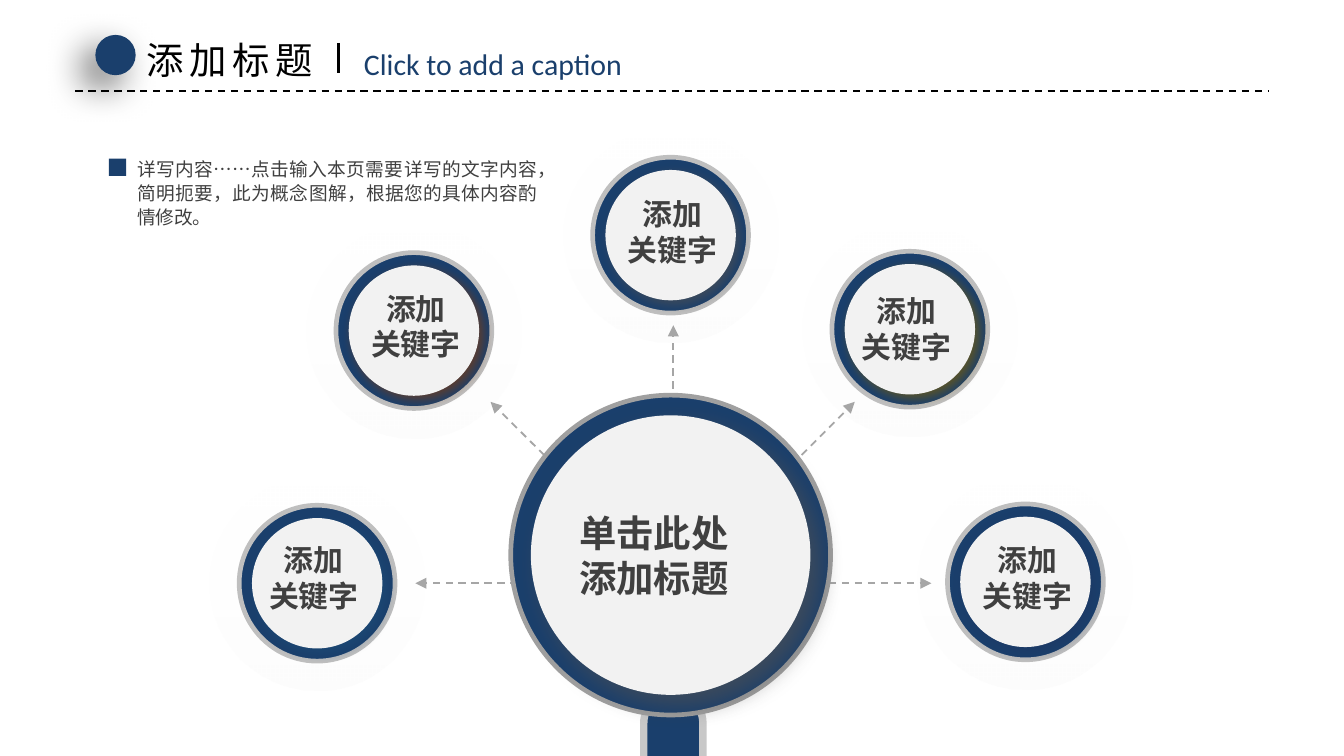
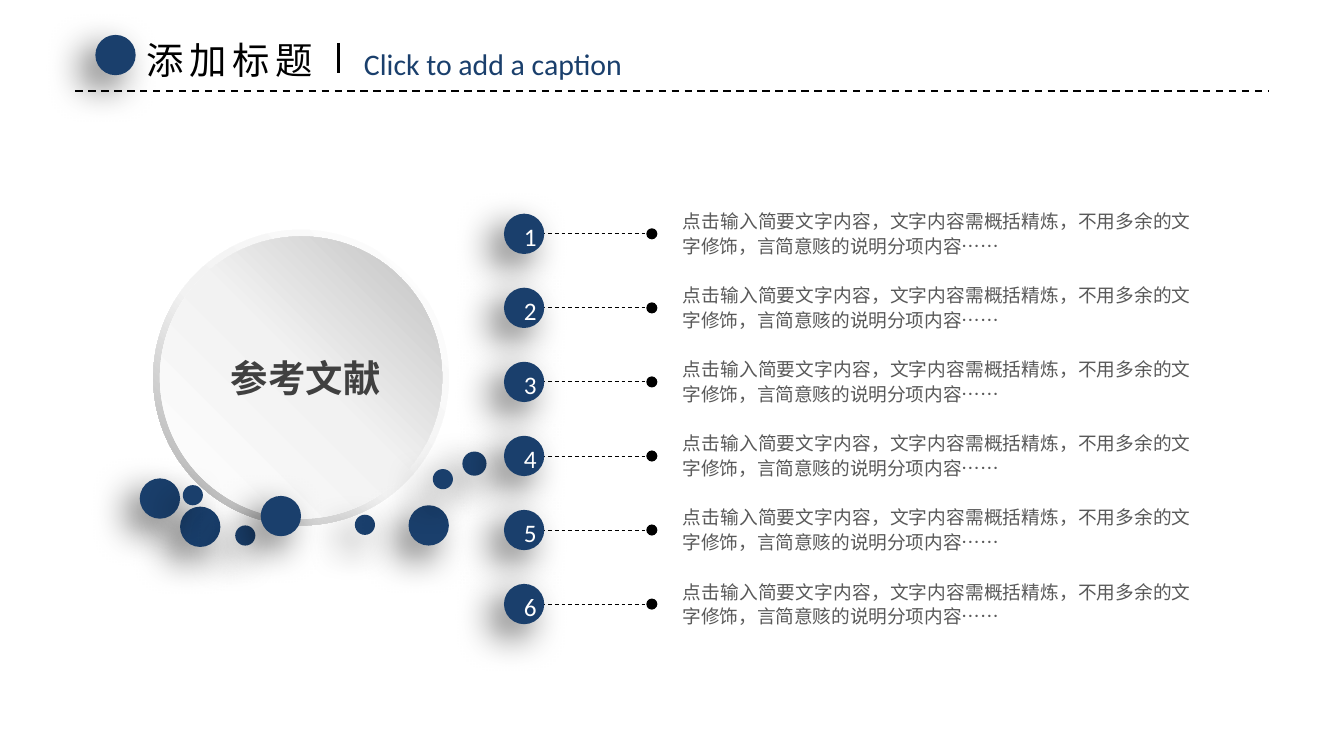
from dataclasses import dataclass
from typing import NamedTuple, Optional

from lxml import etree
from pptx import Presentation
from pptx import util as u
from pptx.dml.color import RGBColor
from pptx.enum import dml, shapes, text
from pptx.oxml.ns import qn

# Grid: 100 square columns across a 16:9 slide
WIDTH = u.Inches(10)
HEIGHT = WIDTH * 9 // 16
COL = WIDTH // 100

NAVY, BLACK, WHITE = "1A3F6C", "000000", "FFFFFF"
PALE, RIM, DARK, MID = "F2F2F2", "BFBFBF", "404040", "595959"
ARROW, RIM_DARK = "A6A6A6", "A0A0A0"
CJK, LATIN = "Noto Sans CJK SC", "Calibri"
OVAL = shapes.MSO_SHAPE.OVAL
LEFT, CENTER, JUSTIFY = text.PP_ALIGN.LEFT, text.PP_ALIGN.CENTER, text.PP_ALIGN.JUSTIFY


class Box(NamedTuple):
    x: float
    y: float
    w: float
    h: float


class Inset(NamedTuple):
    left: float = 1
    top: float = 0.5
    right: float = 1
    bottom: float = 0.5


class Shadow(NamedTuple):
    color: str
    opacity: int
    blur: float
    dist: float
    angle: int


class Stop(NamedTuple):
    pos: int
    color: str
    opacity: int = 100


@dataclass
class Style:
    size: float
    color: str
    font: str = CJK
    bold: bool = False
    align: text.PP_ALIGN = LEFT
    leading: Optional[float] = None
    tracking: float = 0


@dataclass
class Keyword:
    cx: float
    cy: float
    label_x: float
    label_y: float
    tint: str


class Dot(NamedTuple):
    x: float
    y: float
    size: float


NO_INSET = Inset(0, 0, 0, 0)
DROP = Shadow(BLACK, 60, 20, 10, 135)
HALO = [Stop(0, WHITE, 0), Stop(100, RIM, 4)]
KEY_STYLE = Style(16, DARK, bold=True, align=CENTER)
HUB_STYLE = Style(20, DARK, bold=True, align=CENTER)

KEYWORDS = [
    Keyword(23.6, 43.4, 23.35, 43, "1F4E79"),
    Keyword(30.8, 24.6, 30.95, 24.3, "843C0B"),
    Keyword(49.9, 17.5, 50.05, 17.3, "525252"),
    Keyword(67.7, 24.5, 67.45, 24.5, "806000"),
    Keyword(76.3, 43.3, 76.45, 43, "203864"),
]
ARROW_START = (50.1, 43.4)
ARROW_ENDS = [(30.9, 43.4), (69.3, 43.4), (50.1, 24.2), (36.5, 29.9), (63.6, 29.9)]

BUBBLES = [
    Dot(13.4, 37.7, 3), Dot(17.5, 39.1, 1.5), Dot(19.4, 36.9, 3),
    Dot(26.4, 38.3, 1.5), Dot(10.4, 35.6, 3), Dot(13.6, 36.1, 1.5),
    Dot(30.4, 37.6, 3), Dot(34.4, 33.6, 1.8), Dot(32.2, 34.9, 1.5),
]
ITEM_COUNT, ITEM_TOP, ITEM_PITCH = 6, 15.5, 5.51
ITEM_TEXT = "点击输入简要文字内容，文字内容需概括精炼，不用多余的文字修饰，言简意赅的说明分项内容……"
INTRO = "详写内容……点击输入本页需要详写的文字内容，简明扼要，此为概念图解，根据您的具体内容酌情修改。"


# Drawing helpers
def g(cells: float) -> int:
    return round(cells * COL)


def rgb(value: str) -> RGBColor:
    return RGBColor.from_string(value)


def around(cx: float, cy: float, w: float, h: Optional[float] = None) -> Box:
    h = w if h is None else h
    return Box(cx - w / 2, cy - h / 2, w, h)


def add_color(parent, color: str, opacity: int) -> None:
    clr = etree.SubElement(parent, qn("a:srgbClr"), val=color)
    if opacity < 100:
        etree.SubElement(clr, qn("a:alpha"), val=str(opacity * 1000))


def set_gradient(sp, stops: list[Stop], angle: int) -> None:
    sp.fill.background()
    grad = etree.Element(qn("a:gradFill"), rotWithShape="1")
    stop_list = etree.SubElement(grad, qn("a:gsLst"))
    for stop in stops:
        gs = etree.SubElement(stop_list, qn("a:gs"), pos=str(stop.pos * 1000))
        add_color(gs, stop.color, stop.opacity)
    etree.SubElement(grad, qn("a:lin"), ang=str(angle * 60000), scaled="0")
    sp_pr = sp._element.spPr
    sp_pr.replace(sp_pr.find(qn("a:noFill")), grad)


def set_shadow(sp, shadow: Shadow) -> None:
    effects = sp._element.spPr.find(qn("a:effectLst"))
    outer = etree.SubElement(
        effects, qn("a:outerShdw"), blurRad=str(u.Pt(shadow.blur)),
        dist=str(u.Pt(shadow.dist)), dir=str(shadow.angle * 60000),
        algn="ctr", rotWithShape="0")
    add_color(outer, shadow.color, shadow.opacity)


def add_shape(s, kind, box: Box, fill: str = NAVY, line: str = "",
              line_width: float = 2.5, shadow: Optional[Shadow] = None):
    sp = s.shapes.add_shape(kind, *map(g, box))
    sp.shadow.inherit = False
    sp.fill.solid()
    sp.fill.fore_color.rgb = rgb(fill)
    if line:
        sp.line.color.rgb = rgb(line)
        sp.line.width = u.Pt(line_width)
    else:
        sp.line.fill.background()
    if shadow:
        set_shadow(sp, shadow)
    return sp


def add_line(s, start: tuple, end: tuple, color: str, width: float,
             dashed: bool = True, tail: str = "") -> None:
    line = s.shapes.add_connector(
        shapes.MSO_CONNECTOR.STRAIGHT, *map(g, (*start, *end)))
    line.line.color.rgb = rgb(color)
    line.line.width = u.Pt(width)
    if dashed:
        line.line.dash_style = dml.MSO_LINE.DASH
    sp_pr = line._element.spPr
    if tail:
        etree.SubElement(sp_pr.find(qn("a:ln")), qn("a:tailEnd"), type=tail)
    etree.SubElement(sp_pr, qn("a:effectLst"))


def write(tf, lines: list[str], style: Style, inset: Inset) -> None:
    tf.margin_left, tf.margin_top, tf.margin_right, tf.margin_bottom = map(g, inset)
    for i, content in enumerate(lines):
        p = tf.paragraphs[0] if i == 0 else tf.add_paragraph()
        p.add_run().text = content
        p.alignment = style.align
        if style.leading:
            p.line_spacing = u.Pt(style.leading)
        p.font.size = u.Pt(style.size)
        p.font.bold = style.bold
        p.font.color.rgb = rgb(style.color)
        p.font.name = style.font
        r_pr = p._p.pPr.find(qn("a:defRPr"))
        etree.SubElement(r_pr, qn("a:ea"), typeface=style.font)
        if style.tracking:
            r_pr.set("spc", str(round(style.tracking * 100)))


def add_text(s, box: Box, lines: list[str], style: Style,
             inset: Inset = Inset(), wrap: bool = True):
    tf = s.shapes.add_textbox(*map(g, box)).text_frame
    tf.word_wrap = wrap
    tf.auto_size = text.MSO_AUTO_SIZE.SHAPE_TO_FIT_TEXT
    write(tf, lines, style, inset)
    return tf


# Shared header
def new_slide(prs):
    s = prs.slides.add_slide(prs.slide_layouts[6])
    add_line(s, (5.6, 6.8), (94.4, 6.8), BLACK, 1)
    add_shape(s, OVAL, Box(7.1, 2.6, 3, 3), shadow=DROP)
    add_text(s, Box(9.9, 2.3, 14.9, 4.4), ["添加标题"],
             Style(20, BLACK, tracking=3), wrap=False)
    add_text(s, Box(26.1, 2.9, 22.5, 3.7), ["Click to add a caption"],
             Style(16, NAVY, LATIN), wrap=False)
    add_line(s, (25.2, 3.2), (25.2, 5.4), BLACK, 1.5, dashed=False)
    return s


# Slide 1: hub with five keywords
def keyword_slide(prs) -> None:
    s = new_slide(prs)
    stalk = add_shape(s, shapes.MSO_SHAPE.ROUNDED_RECTANGLE,
                      around(50.1, 57.2, 11.2, 4.4), line="C8C8C8", line_width=4)
    stalk.adjustments[0] = 0.5
    stalk.rotation = 90

    for k in KEYWORDS:
        halo = add_shape(s, OVAL, around(k.cx, k.cy, 16))
        set_gradient(halo, HALO, 90)
        add_shape(s, OVAL, around(k.cx, k.cy, 11.6), line=RIM)
        add_shape(s, OVAL, around(k.cx, k.cy, 9.7), PALE,
                  shadow=Shadow(k.tint, 64, 6, 3, 45))
    for end in ARROW_ENDS:
        add_line(s, ARROW_START, end, ARROW, 1, tail="triangle")
    for k in KEYWORDS:
        add_text(s, around(k.label_x, k.label_y, 9.7, 6.6), ["添加", "关键字"],
                 KEY_STYLE, Inset(1.2, 0.6, 1.2, 0.6))

    # Hub
    add_shape(s, OVAL, around(49.9, 41.3, 23.8), line=RIM_DARK)
    add_shape(s, OVAL, around(49.9, 41.3, 20.8), PALE,
              shadow=Shadow("525252", 64, 13, 7, 45))
    tf = add_text(s, Box(40.7, 37.5, 17.8, 7.7), ["单击此处", "添加标题"], HUB_STYLE)
    tf.paragraphs[0]._p.pPr.set("marR", str(g(1.9)))

    # Introduction
    add_text(s, Box(10.2, 11.6, 29.8, 5.5), [INTRO],
             Style(10, DARK, align=JUSTIFY, leading=13), NO_INSET)
    add_shape(s, shapes.MSO_SHAPE.RECTANGLE, Box(8.1, 11.8, 1.3, 1.3))


# Slide 2: numbered references
def reference_slide(prs) -> None:
    s = new_slide(prs)
    rim = add_shape(s, shapes.MSO_SHAPE.DONUT, around(22.4, 28.1, 22))
    rim.adjustments[0] = 0.05
    set_gradient(rim, [Stop(0, WHITE), Stop(55, PALE), Stop(100, ARROW)], 135)
    disc = add_shape(s, OVAL, around(22.4, 28.1, 21))
    set_gradient(disc, [Stop(0, WHITE), Stop(51, PALE), Stop(100, RIM)], 315)

    for dot in BUBBLES:
        add_shape(s, OVAL, Box(dot.x, dot.y, dot.size, dot.size), shadow=DROP)

    for i in range(ITEM_COUNT):
        top = ITEM_TOP + i * ITEM_PITCH
        add_text(s, Box(50.8, top, 37.8, 3.6), [ITEM_TEXT],
                 Style(10, MID, align=JUSTIFY, leading=13), NO_INSET)
        add_line(s, (39.8, top + 1.9), (48.5, top + 1.9), BLACK, 0.5, tail="oval")
        badge = add_shape(s, OVAL, Box(37.5, top + 0.4, 3, 3), shadow=DROP)
        badge.text_frame.vertical_anchor = text.MSO_ANCHOR.MIDDLE
        write(badge.text_frame, [str(i + 1)],
              Style(13.5, WHITE, LATIN, align=CENTER), Inset(0.9, 0.4, 0, 0))

    add_text(s, Box(15.1, 26.4, 15.3, 3.4), ["参考文献"], HUB_STYLE, NO_INSET)


def main() -> None:
    prs = Presentation()
    prs.slide_width, prs.slide_height = WIDTH, HEIGHT
    keyword_slide(prs)
    reference_slide(prs)
    prs.save("out.pptx")


if __name__ == "__main__":
    main()
